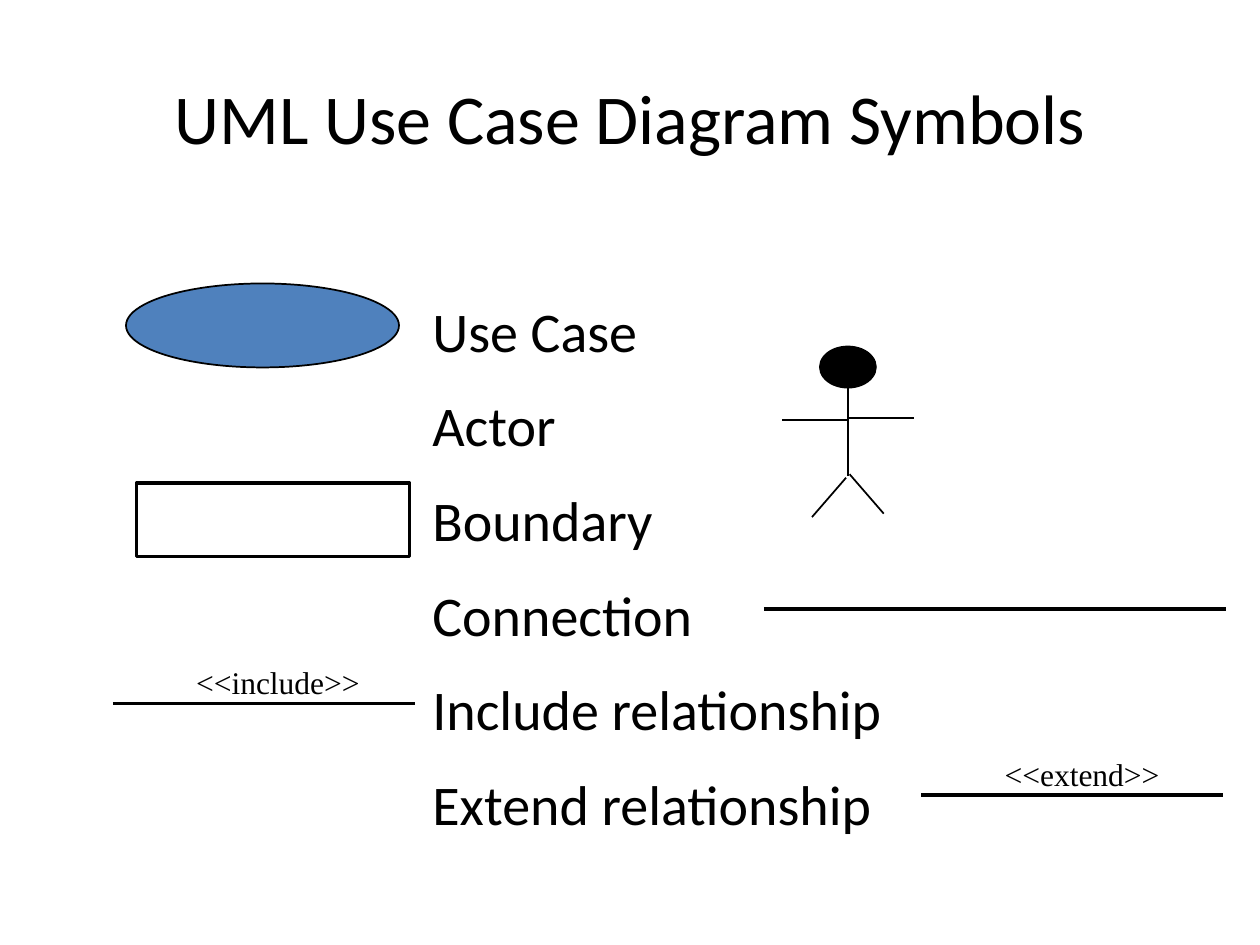
from lxml import etree
from pptx import Presentation
from pptx.dml.color import RGBColor
from pptx.enum.shapes import MSO_CONNECTOR, MSO_SHAPE
from pptx.enum.text import MSO_ANCHOR, MSO_AUTO_SIZE, PP_ALIGN
from pptx.oxml.ns import qn
from pptx.util import Pt

STRAIGHT = MSO_CONNECTOR.STRAIGHT
OVAL, RECTANGLE = MSO_SHAPE.OVAL, MSO_SHAPE.RECTANGLE
MIDDLE, TOP = MSO_ANCHOR.MIDDLE, MSO_ANCHOR.TOP
CENTER, LEFT = PP_ALIGN.CENTER, PP_ALIGN.LEFT
NO_FIT, GROW = MSO_AUTO_SIZE.NONE, MSO_AUTO_SIZE.SHAPE_TO_FIT_TEXT

BLACK = RGBColor(0x00, 0x00, 0x00)
BLUE = RGBColor(0x4F, 0x81, 0xBD)

TITLE_FONT = {"name": "Calibri", "size": Pt(40)}
LIST_FONT = {"name": "Calibri", "size": Pt(32)}
LABEL_FONT = {"name": "Times New Roman", "size": Pt(18)}

SYMBOL_NAMES = ["Use Case", "Actor", "Boundary", "Connection",
                "Include relationship", "Extend relationship"]
LIST_INDENT = Pt(27)
SPACE_BEFORE = 8


def set_values(target, values):
    for name, value in values.items():
        setattr(target, name, value)


def write(para, text, font):
    para.text = text
    set_values(para.font, font)
    para.font.color.rgb = BLACK


def add_title(page, text):
    title = page.shapes.title
    set_values(title, {"left": Pt(36), "top": Pt(21.6),
                       "width": Pt(648), "height": Pt(90)})
    set_values(title.text_frame, {"vertical_anchor": MIDDLE,
                                  "auto_size": NO_FIT})
    para = title.text_frame.paragraphs[0]
    write(para, text, TITLE_FONT)
    para.alignment = CENTER


def add_name_list(page, names):
    box = page.shapes.add_textbox(Pt(240), Pt(150), Pt(330), Pt(324))
    frame = box.text_frame
    # The top margin takes the place of space before the first name.
    set_values(frame, {"word_wrap": True, "vertical_anchor": TOP,
                       "margin_top": Pt(3.6 + SPACE_BEFORE)})
    for index, name in enumerate(names):
        para = frame.add_paragraph() if index else frame.paragraphs[0]
        properties = para._p.get_or_add_pPr()
        properties.set("marL", str(LIST_INDENT))
        properties.set("indent", str(-LIST_INDENT))
        write(para, name, LIST_FONT)
        set_values(para, {"alignment": LEFT, "line_spacing": 1.2,
                          "space_before": Pt(SPACE_BEFORE if index else 0)})


def add_outline(shapes, kind, left, top, width, height, weight, fill=None):
    shape = shapes.add_shape(kind, Pt(left), Pt(top), Pt(width), Pt(height))
    shape.shadow.inherit = False
    if fill is None:
        shape.fill.background()
    else:
        shape.fill.solid()
        shape.fill.fore_color.rgb = fill
    shape.line.color.rgb = BLACK
    shape.line.width = Pt(weight)


def add_line(shapes, x1, y1, x2, y2, weight):
    line = shapes.add_connector(STRAIGHT, Pt(x1), Pt(y1), Pt(x2), Pt(y2))
    line.line.color.rgb = BLACK
    line.line.width = Pt(weight)
    etree.SubElement(line._element.spPr, qn("a:effectLst"))


def add_actor(page):
    """Draw the stick figure as one group."""
    shapes = page.shapes.add_group_shape().shapes
    add_outline(shapes, OVAL, 468.5, 198, 32, 23.5, 1, BLACK)
    limbs = [
        (484.5, 221.5, 484.5, 272),
        (484.5, 239, 522, 239),
        (447, 240, 484.5, 240),
        (485.5, 271, 505, 293.5),
        (483.5, 273, 464, 295.5),
    ]
    for limb in limbs:
        add_line(shapes, *limb, 1)


def add_relationship(page, text, left, line_y, label_left, label_width):
    """Group a line with the stereotype that stands above it."""
    shapes = page.shapes.add_group_shape().shapes
    add_line(shapes, left, line_y, left + 172.5, line_y, 2.25)
    box = shapes.add_textbox(Pt(label_left), Pt(line_y - 26.8),
                             Pt(label_width), Pt(29))
    set_values(box.text_frame, {"word_wrap": False, "auto_size": GROW})
    write(box.text_frame.paragraphs[0], text, LABEL_FONT)


def main():
    deck = Presentation()
    deck.slide_width, deck.slide_height = Pt(720), Pt(540)
    page = deck.slides.add_slide(deck.slide_layouts[5])

    add_title(page, "UML Use Case Diagram Symbols")
    add_name_list(page, SYMBOL_NAMES)
    add_outline(page.shapes, OVAL, 72, 162, 156, 48, 1, BLUE)
    add_outline(page.shapes, RECTANGLE, 78, 276, 156, 42, 2)
    add_actor(page)
    add_line(page.shapes, 436.5, 348, 700.5, 348, 2.25)
    add_relationship(page, "<<include>>", 64.5, 402, 105, 108)
    add_relationship(page, "<<extend>>", 526.5, 454.5, 567, 103)

    deck.save("out.pptx")


if __name__ == "__main__":
    main()
